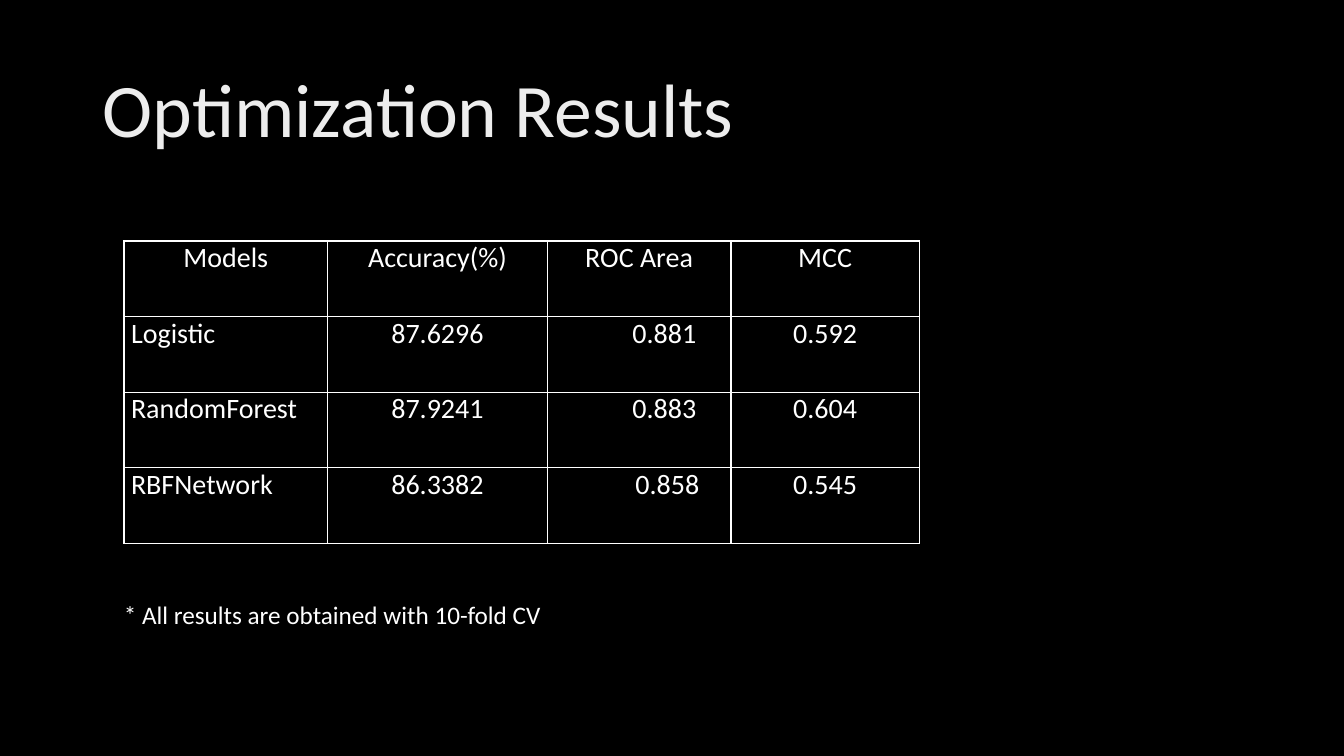
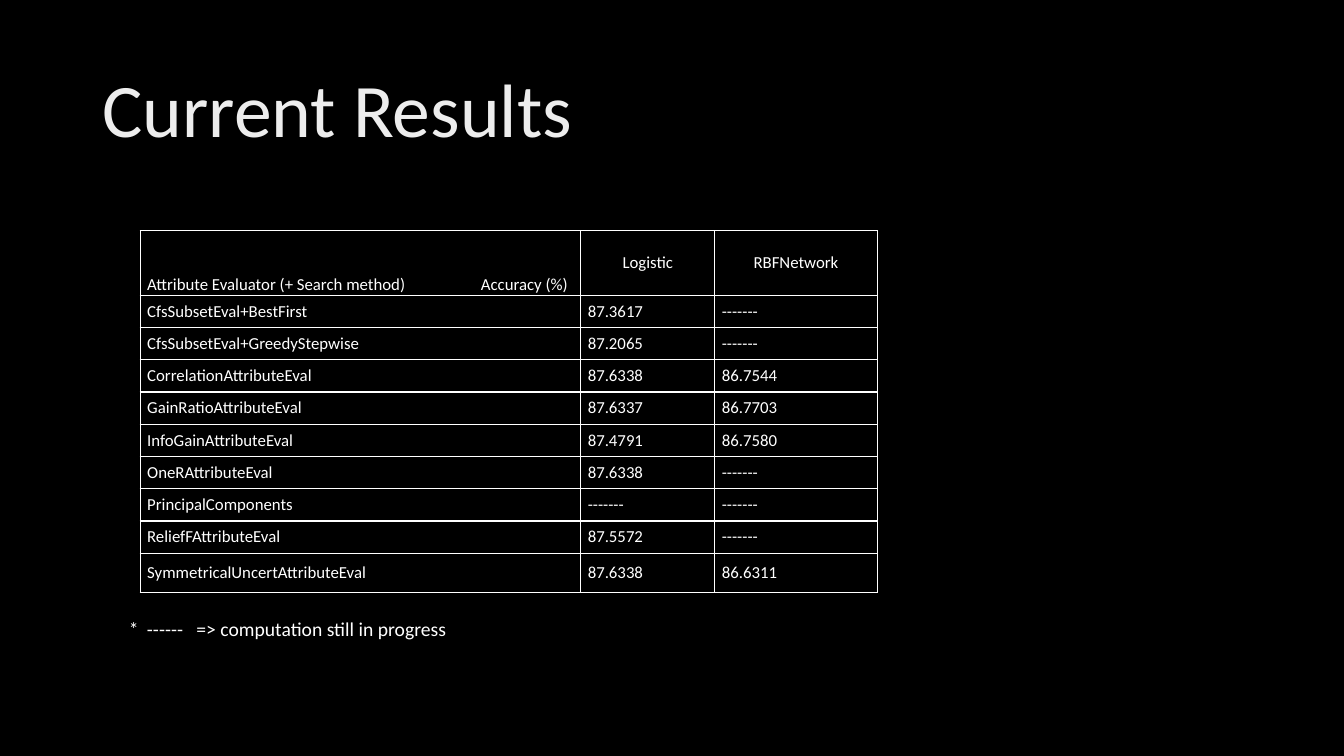
"""Build two slides of classifier results, each with a title, a ruled table and a footnote."""
from lxml import etree
from pptx import Presentation
from pptx.dml.color import RGBColor
from pptx.enum.text import MSO_ANCHOR as Anchor, PP_ALIGN as Align
from pptx.oxml.ns import qn
from pptx.util import Inches, Pt

FONT = "Calibri"
BLACK, WHITE, SILVER = "000000", "FFFFFF", "EDEDED"
WIDTH, HEIGHT = 13.33, 7.5
TITLE_AREA = (0.92, 0.4, 11.5, 1.45)
PENDING = "-------"
LEFT, CENTER = Align.LEFT, Align.CENTER

SLIDES = [
    {
        "title": "Optimization Results",
        "rows": [
            ("Models", "Accuracy(%)", "ROC Area", "MCC"),
            ("Logistic", "87.6296", "0.881", "0.592"),
            ("RandomForest", "87.9241", "0.883", "0.604"),
            ("RBFNetwork", "86.3382", "0.858", "0.545"),
        ],
        "origin": (1.23, 2.39),
        "columns": [2.02, 2.18, 1.82, 1.87],
        "heights": [0.75] * 4,
        "size": 20,
        "anchor": Anchor.TOP,
        "header_aligns": [CENTER] * 4,
        "body_aligns": [LEFT, CENTER, CENTER, CENTER],
        "indents": {(1, 2): 0.5, (2, 2): 0.5, (3, 2): 0.56},
        "note": "* All results are obtained with 10-fold CV",
        "note_area": (1.13, 5.9, 4.6, 0.71),
        "note_size": 18,
    },
    {
        "title": "Current Results",
        "rows": [
            ("Attribute Evaluator (+ Search method)\tAccuracy (%)", "Logistic", "RBFNetwork"),
            ("CfsSubsetEval+BestFirst", "87.3617", PENDING),
            ("CfsSubsetEval+GreedyStepwise", "87.2065", PENDING),
            ("CorrelationAttributeEval", "87.6338", "86.7544"),
            ("GainRatioAttributeEval", "87.6337", "86.7703"),
            ("InfoGainAttributeEval", "87.4791", "86.7580"),
            ("OneRAttributeEval", "87.6338", PENDING),
            ("PrincipalComponents", PENDING, PENDING),
            ("ReliefFAttributeEval", "87.5572", PENDING),
            ("SymmetricalUncertAttributeEval", "87.6338", "86.6311"),
        ],
        "origin": (1.39, 2.29),
        "columns": [4.37, 1.33, 1.61],
        "heights": [0.64] + [0.32] * 8 + [0.39],
        "size": 12,
        "anchor": Anchor.MIDDLE,
        "corner_anchor": Anchor.BOTTOM,
        "header_aligns": [LEFT, CENTER, CENTER],
        "body_aligns": [LEFT] * 3,
        "corner_tabs": [3.31],
        "note": "*\t------\t=> computation still in progress",
        "note_area": (1.18, 6.07, 3.8, 0.34),
        "note_size": 14,
        "note_tabs": [0.18, 0.67],
    },
]


def color(value):
    return RGBColor.from_string(value)


def write(frame, text, size, ink=WHITE, align=LEFT, indent=0, tabs=()):
    para = frame.paragraphs[0]
    para.alignment = align
    span = para.add_run()
    span.text = text
    span.font.name = FONT
    span.font.size = Pt(size)
    span.font.color.rgb = color(ink)
    props = para._p.get_or_add_pPr()
    if indent:
        props.set("marL", str(Inches(indent)))
    if tabs:
        stops = etree.SubElement(props, qn("a:tabLst"))
        for place in tabs:
            etree.SubElement(stops, qn("a:tab"), pos=str(Inches(place)), algn="l")
    return para


def add_text(page, area, text, size, **style):
    box = page.shapes.add_textbox(*map(Inches, area))
    box.text_frame.word_wrap = True
    return box.text_frame, write(box.text_frame, text, size, **style)


def rule_cell(cell):
    props = cell._tc.get_or_add_tcPr()
    for side in ("a:lnL", "a:lnR", "a:lnT", "a:lnB"):
        line = etree.SubElement(props, qn(side), w=str(Pt(1)))
        fill = etree.SubElement(line, qn("a:solidFill"))
        etree.SubElement(fill, qn("a:srgbClr"), val=WHITE)
    cell.fill.background()


def add_results(page, content):
    rows, columns, heights = content["rows"], content["columns"], content["heights"]
    area = (*content["origin"], sum(columns), sum(heights))
    table = page.shapes.add_table(len(rows), len(columns), *map(Inches, area)).table
    table.first_row = table.horz_banding = False
    for column, width in zip(table.columns, columns):
        column.width = Inches(width)
    for row, height in zip(table.rows, heights):
        row.height = Inches(height)
    for r, values in enumerate(rows):
        aligns = content["body_aligns"] if r else content["header_aligns"]
        for c, value in enumerate(values):
            cell = table.cell(r, c)
            corner = r == c == 0
            cell.margin_left = cell.margin_right = Inches(0.07)
            cell.margin_top = cell.margin_bottom = 0
            cell.vertical_anchor = content["anchor"]
            if corner:
                cell.vertical_anchor = content.get("corner_anchor", content["anchor"])
            rule_cell(cell)
            write(cell.text_frame, value, content["size"], align=aligns[c],
                  indent=content.get("indents", {}).get((r, c), 0),
                  tabs=content.get("corner_tabs", ()) if corner else ())


def add_page(deck, content):
    page = deck.slides.add_slide(deck.slide_layouts[6])
    frame, para = add_text(page, TITLE_AREA, content["title"], 54, ink=SILVER)
    frame.vertical_anchor = Anchor.MIDDLE
    para.line_spacing = 0.9
    add_results(page, content)
    add_text(page, content["note_area"], content["note"], content["note_size"],
             tabs=content.get("note_tabs", ()))


def main():
    deck = Presentation()
    deck.slide_width, deck.slide_height = Inches(WIDTH), Inches(HEIGHT)
    backdrop = deck.slide_master.background.fill
    backdrop.solid()
    backdrop.fore_color.rgb = color(BLACK)
    for content in SLIDES:
        add_page(deck, content)
    deck.save("out.pptx")


if __name__ == "__main__":
    main()
